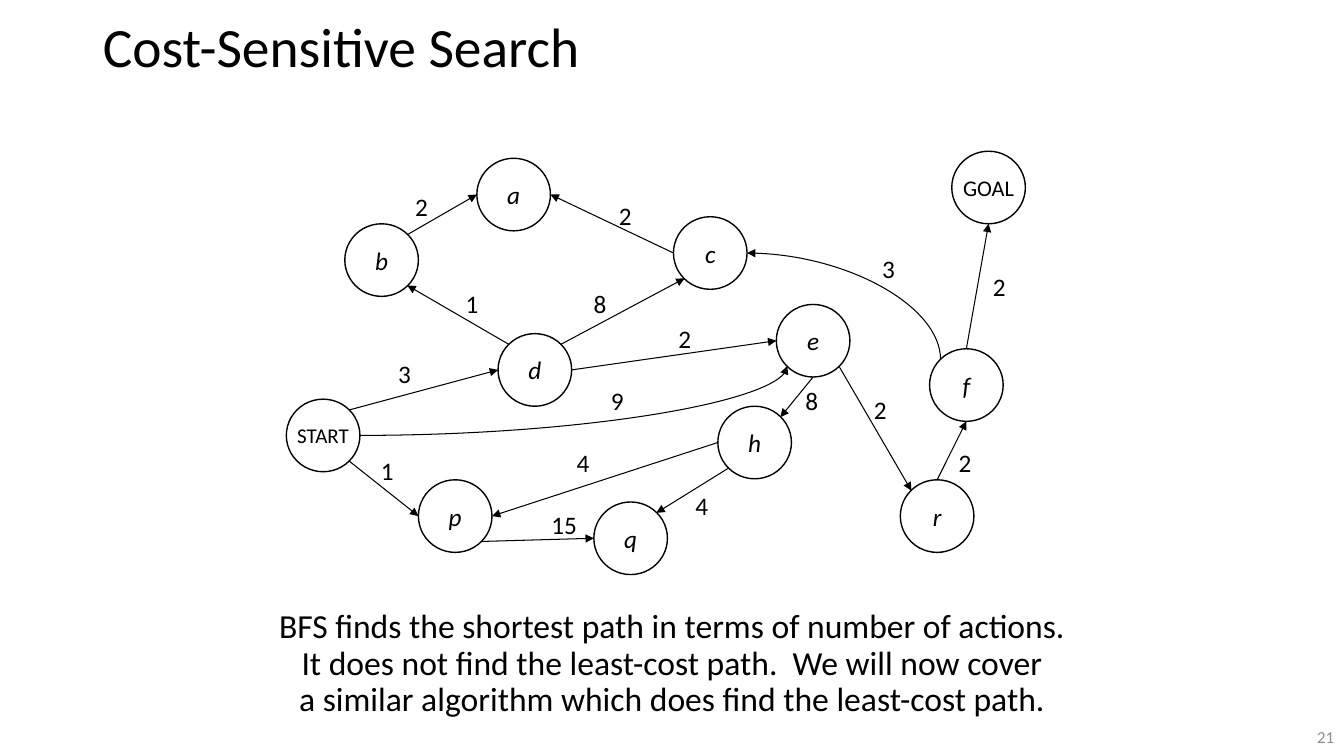
import pptx
import pptx.dml.color
import pptx.enum.shapes
import pptx.enum.text
import pptx.oxml.ns
import pptx.util
from lxml import etree

Inches = pptx.util.Inches
Align = pptx.enum.text.PP_ALIGN
Anchor = pptx.enum.text.MSO_ANCHOR
Connector = pptx.enum.shapes.MSO_CONNECTOR
qn = pptx.oxml.ns.qn

NODE_WIDTH, NODE_HEIGHT = 0.73, 0.72
# Connection points as offsets from a node's centre, in node sizes
SITES = {"T": (0, -0.5), "B": (0, 0.5), "L": (-0.5, 0), "R": (0.5, 0),
         "TL": (-0.35, -0.35), "TR": (0.35, -0.35),
         "BL": (-0.35, 0.35), "BR": (0.35, 0.35)}


def color(hex_code):
    return pptx.dml.color.RGBColor.from_string(hex_code)


class GraphSlide:
    font = "Calibri"
    ink = "000000"
    muted = "8C8C8C"

    def __init__(self, deck):
        self.page = deck.slides.add_slide(deck.slide_layouts[1])
        self.group = self.page.shapes.add_group_shape()
        self.nodes = {}

    def add_span(self, para, text, size, ink=None, italic=None):
        span = para.add_run()
        span.text = text
        span.font.name = self.font
        span.font.size = pptx.util.Pt(size)
        span.font.italic = italic
        span.font.color.rgb = color(ink or self.ink)

    def placeholder(self, index, left, top, width, height, lines, size, align, anchor):
        box = self.page.placeholders[index]
        box.left, box.top = Inches(left), Inches(top)
        box.width, box.height = Inches(width), Inches(height)
        frame = box.text_frame
        frame.auto_size = pptx.enum.text.MSO_AUTO_SIZE.NONE
        frame.vertical_anchor = anchor
        for number, line in enumerate(lines):
            para = frame.add_paragraph() if number else frame.paragraphs[0]
            settings = para._p.get_or_add_pPr()
            settings.set("marL", "0")
            settings.set("indent", "0")
            etree.SubElement(settings, qn("a:buNone"))
            para.alignment = align
            para.line_spacing = 0.9
            para.space_before = pptx.util.Pt(0)
            self.add_span(para, line, size)

    def text(self, shapes, left, top, width, height, text, size,
             ink=None, align=Align.LEFT, anchor=Anchor.TOP):
        box = shapes.add_textbox(Inches(left), Inches(top), Inches(width), Inches(height))
        box.text_frame.word_wrap = True
        box.text_frame.vertical_anchor = anchor
        para = box.text_frame.paragraphs[0]
        para.alignment = align
        self.add_span(para, text, size, ink)

    def node(self, name, left, top, size=18):
        circle = self.group.shapes.add_shape(
            pptx.enum.shapes.MSO_SHAPE.FLOWCHART_CONNECTOR,
            Inches(left), Inches(top), Inches(NODE_WIDTH), Inches(NODE_HEIGHT))
        circle.shadow.inherit = False
        circle.fill.background()
        circle.line.color.rgb = color(self.ink)
        circle.line.width = pptx.util.Pt(1)
        frame = circle.text_frame
        frame.word_wrap = False
        frame.vertical_anchor = Anchor.MIDDLE
        para = frame.paragraphs[0]
        para.alignment = Align.CENTER
        self.add_span(para, name, size, italic=len(name) == 1)
        self.nodes[name] = (left + NODE_WIDTH / 2, top + NODE_HEIGHT / 2)

    def site(self, name, side):
        x, y = self.nodes[name]
        across, down = SITES[side]
        return x + across * NODE_WIDTH, y + down * NODE_HEIGHT

    def edge(self, start, end, curved=False):
        (x1, y1), (x2, y2) = self.site(*start), self.site(*end)
        # A curve leaves sideways; one that leaves upwards is turned a quarter
        turned = curved and start[1] not in "LR"
        if turned:
            middle_x, middle_y = (x1 + x2) / 2, (y1 + y2) / 2
            dx, dy = x1 - middle_x, y1 - middle_y
            x1, y1 = middle_x + dy, middle_y - dx
            x2, y2 = middle_x - dy, middle_y + dx
        arrow = self.group.shapes.add_connector(
            Connector.CURVE if curved else Connector.STRAIGHT,
            Inches(x1), Inches(y1), Inches(x2), Inches(y2))
        arrow.line.color.rgb = color(self.ink)
        arrow.line.width = pptx.util.Pt(0.75)
        shape = arrow._element.spPr
        if curved:
            shape.find(qn("a:prstGeom")).set("prst", "curvedConnector2")
        if turned:
            shape.find(qn("a:xfrm")).set("rot", "5400000")
        etree.SubElement(shape.find(qn("a:ln")), qn("a:tailEnd"), type="triangle")
        etree.SubElement(shape, qn("a:effectLst"))

    def cost(self, value, left, top):
        width = 0.34 if value < 10 else 0.51
        self.text(self.group.shapes, left, top, width, 0.4, str(value), 18)


# Nodes: name, left, top, text size
NODES = [("START", 2.84, 3.96, 15), ("GOAL", 9.44, 1.5, 16),
         ("d", 4.94, 3.31), ("b", 3.42, 2.22), ("p", 4.15, 4.76),
         ("q", 5.89, 4.98), ("c", 6.68, 2.15), ("e", 7.7, 3.02),
         ("h", 7.12, 4.03), ("a", 4.73, 1.57), ("f", 9.22, 3.46),
         ("r", 8.93, 4.76)]

# Edges: start node and side, end node and side, cost, left and top of the cost
EDGES = [
    ("START", "BR", "p", "L", 1, 3.68, 4.47),
    ("p", "BR", "q", "L", 15, 5.37, 5),
    ("h", "BL", "q", "TR", 4, 6.8, 4.82),
    ("h", "L", "p", "R", 4, 5.62, 4.39),
    ("e", "B", "h", "TR", 8, 7.89, 3.77),
    ("e", "BR", "r", "TL", 2, 8.57, 3.86),
    ("r", "T", "f", "B", 2, 9.41, 4.39),
    ("f", "T", "GOAL", "B", 2, 9.75, 2.64),
    ("START", "TR", "d", "L", 3, 3.85, 3.51),
    ("d", "TL", "b", "BR", 1, 4.52, 2.81),
    ("b", "TR", "a", "L", 2, 4.02, 1.85),
    ("c", "L", "a", "R", 2, 6.04, 1.94),
    ("d", "TR", "c", "BL", 8, 5.79, 2.81),
    ("d", "R", "e", "L", 2, 6.63, 3.16),
    ("f", "TL", "c", "R", 3, 8.65, 2.46),
    ("START", "R", "e", "BL", 9, 5.96, 3.77),
]
CURVED = {("f", "c"), ("START", "e")}


def main():
    deck = pptx.Presentation()
    deck.slide_width, deck.slide_height = Inches(13.33), Inches(7.5)
    slide = GraphSlide(deck)

    # Title and closing remark
    slide.placeholder(0, 0.92, 0.13, 11.5, 0.73, ["Cost-Sensitive Search"],
                      39.6, Align.LEFT, Anchor.MIDDLE)
    slide.placeholder(1, 0, 6, 13.33, 1.34, [
        "BFS finds the shortest path in terms of number of actions.",
        "It does not find the least-cost path.  We will now cover",
        "a similar algorithm which does find the least-cost path."],
        24, Align.CENTER, Anchor.TOP)

    # Search graph
    for node in NODES:
        slide.node(*node)
    for start, start_side, end, end_side, *_ in EDGES:
        slide.edge((start, start_side), (end, end_side), (start, end) in CURVED)
    for *_, value, left, top in EDGES:
        slide.cost(value, left, top)

    # Page number
    slide.text(slide.page.shapes, 12.74, 7.12, 0.59, 0.38, "21", 12,
               slide.muted, Align.RIGHT, Anchor.MIDDLE)

    deck.save("out.pptx")


if __name__ == "__main__":
    main()
